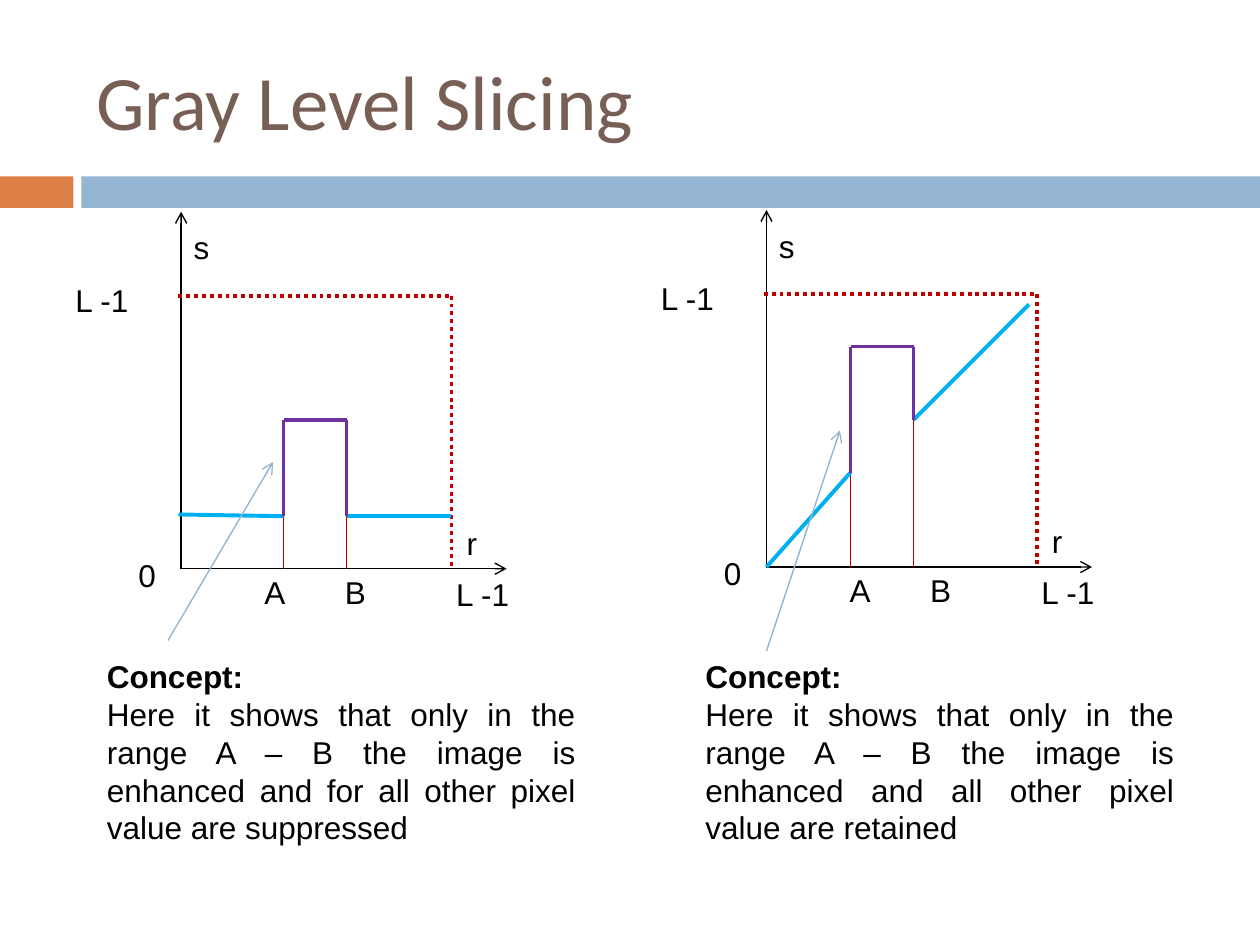
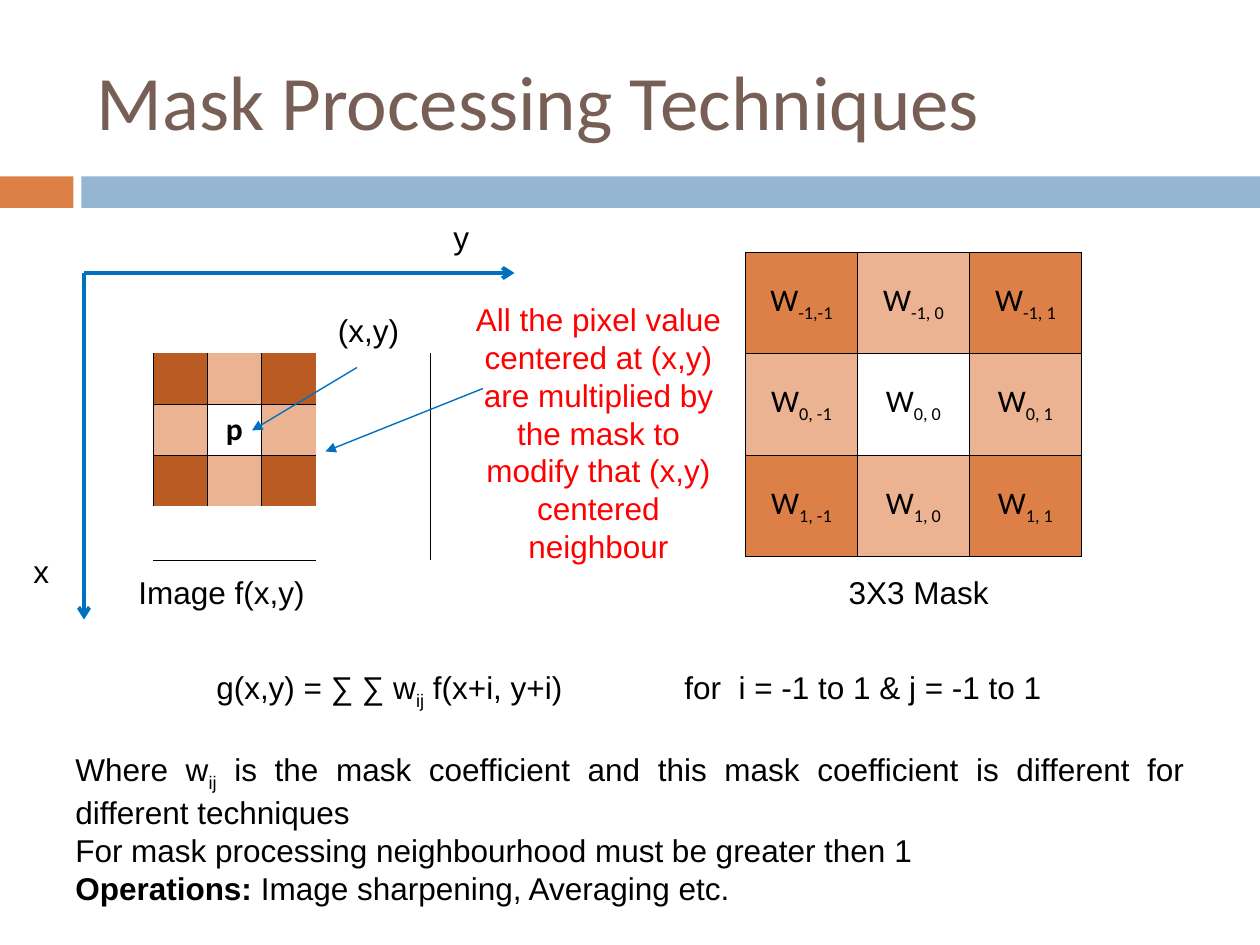
from pptx import Presentation
from pptx.dml.color import RGBColor
from pptx.enum.dml import MSO_LINE
from pptx.enum.shapes import MSO_CONNECTOR, MSO_SHAPE
from pptx.enum.text import MSO_ANCHOR, PP_ALIGN
from pptx.oxml.ns import qn
from pptx.util import Pt
from lxml.etree import SubElement

BLACK = RGBColor(0x00, 0x00, 0x00)
WHITE = RGBColor(0xFF, 0xFF, 0xFF)
BROWN = RGBColor(0x77, 0x5F, 0x55)
ORANGE = RGBColor(0xDD, 0x80, 0x47)
RUST = RGBColor(0xB9, 0x5B, 0x22)
PEACH = RGBColor(0xEB, 0xB3, 0x91)
STEEL = RGBColor(0x94, 0xB6, 0xD2)
DARK_RED = RGBColor(0xC0, 0x00, 0x00)
RED = RGBColor(0xFF, 0x00, 0x00)
CYAN = RGBColor(0x00, 0xB0, 0xF0)
PURPLE = RGBColor(0x70, 0x30, 0xA0)
BLUE = RGBColor(0x00, 0x70, 0xC0)

THIN, THICK = 0.79, 2.25


def write(tf, text, size=18, font="Arial", color=BLACK, bold=False,
          align=PP_ALIGN.LEFT, new=False):
    """Write one paragraph; text is a string or (text, style) runs, style 'sub' or 'bold'."""
    p = tf.add_paragraph() if new else tf.paragraphs[0]
    p.alignment = align
    for part, style in [(text, "")] if isinstance(text, str) else text:
        r = p.add_run()
        r.text = part
        r.font.size, r.font.name = Pt(size), font
        r.font.bold = bold or style == "bold"
        r.font.color.rgb = color
        if style == "sub":
            r._r.get_or_add_rPr().set("baseline", "-25000")


class Deck:
    """Holds the presentation, its style and the current slide."""

    def __init__(self):
        self.prs = Presentation()
        self.prs.slide_width, self.prs.slide_height = Pt(720), Pt(540)
        self.s = None

    def slide(self, title):
        """Start a slide with the two bands and its title."""
        self.s = self.prs.slides.add_slide(self.prs.slide_layouts[6])
        self.band(0, 42, ORANGE)
        self.band(46.5, 673.5, STEEL)
        self.text(48, 18, 642, 78, title, anchor=MSO_ANCHOR.MIDDLE,
                  size=44, font="Calibri", color=BROWN)

    def band(self, x, w, color):
        """Draw a part of the band under the title."""
        sp = self.s.shapes.add_shape(MSO_SHAPE.RECTANGLE, Pt(x), Pt(100.8), Pt(w), Pt(18))
        sp.shadow.inherit = False
        sp.fill.solid()
        sp.fill.fore_color.rgb = color
        sp.line.fill.background()

    def text(self, x, y, w, h, *paragraphs, anchor=MSO_ANCHOR.TOP, **fmt):
        """Add a wrapped text box with one or more paragraphs."""
        tf = self.s.shapes.add_textbox(Pt(x), Pt(y), Pt(w), Pt(h)).text_frame
        tf.word_wrap = True
        tf.vertical_anchor = anchor
        for i, paragraph in enumerate(paragraphs):
            write(tf, paragraph, new=i > 0, **fmt)

    def line(self, start, end, color=BLACK, width=THIN, dash=None, arrow=None):
        """Draw a straight line, with an arrowhead at its end if one is named."""
        c = self.s.shapes.add_connector(MSO_CONNECTOR.STRAIGHT, *map(Pt, start + end))
        c.line.color.rgb, c.line.width = color, Pt(width)
        if dash:
            c.line.dash_style = dash
        if arrow:
            SubElement(c.line._get_or_add_ln(), qn("a:tailEnd"), type=arrow)
        SubElement(c._element.spPr, qn("a:effectLst"))

    def table(self, x, y, cols, rows):
        """Add a plain table with the given column widths and row heights."""
        t = self.s.shapes.add_table(len(rows), len(cols), Pt(x), Pt(y),
                                    Pt(sum(cols)), Pt(sum(rows))).table
        t.first_row = t.horz_banding = False
        for col, w in zip(t.columns, cols):
            col.width = Pt(w)
        for row, h in zip(t.rows, rows):
            row.height = Pt(h)
        return t

    def cell(self, cell, fill=None, edges="LRTB"):
        """Set a cell's fill and draw only the named edges."""
        tcPr = cell._tc.get_or_add_tcPr()
        for edge in "LRTB":
            ln = SubElement(tcPr, qn("a:ln" + edge), w=str(Pt(0.45)))
            if edge in edges:
                SubElement(SubElement(ln, qn("a:solidFill")), qn("a:srgbClr"), val=str(BLACK))
            else:
                SubElement(ln, qn("a:noFill"))
        if fill is None:
            cell.fill.background()
        else:
            cell.fill.solid()
            cell.fill.fore_color.rgb = fill

    def graph(self, x0, y0, start, a, b, end, top):
        """Plot s against r, lifted to top between a and b; points are offsets from the origin."""
        def at(x, y):
            return x0 + x, y0 + y

        for tip in ((0, -204), (186, 0)):
            self.line(at(0, 0), at(*tip), arrow="arrow")
        for p, q in (((-1.5, -156), (154.5, -156)), ((154.5, -156), (154.5, 0))):
            self.line(at(*p), at(*q), DARK_RED, THICK, MSO_LINE.ROUND_DOT)
        for x, y in (a, b):
            self.line(at(x, y), at(x, 0), DARK_RED)
        for p, q in ((start, a), (b, end)):
            self.line(at(*p), at(*q), CYAN, THICK)
        corners = [a, (a[0], top), (b[0], top), b]
        for p, q in zip(corners, corners[1:]):
            self.line(at(*p), at(*q), PURPLE, THICK)
        for label, x, y, w in (("s", 0, -198, 24), ("L -1", 150, 0, 54), ("r", 156, -29, 24),
                               ("L -1", -67.5, -168, 54), ("0", -31.5, -11, 24),
                               ("A", 40.5, -1, 28), ("B", 86.5, -1, 28)):
            self.text(*at(x, y), w, 28.8, label)

    def concept(self, x, effect):
        """Add the explanation under a graph."""
        self.text(x, 372, 282, 115, [("Concept:", "bold")],
                  f"Here it shows that only in the range A – B the image is enhanced and {effect}",
                  align=PP_ALIGN.JUSTIFY)

    def image_grid(self, x, y):
        """Add the image area with the pixel neighbourhood of p inside it."""
        t = self.table(x, y, [39.5, 31, 31, 31, 65.5], [46, 29, 29, 29, 31])
        for r in range(5):
            for c in range(5):
                inside = 1 <= r <= 3 and 1 <= c <= 3
                shown = {"L": inside or c == 0, "R": inside or c == 4,
                         "T": inside and r > 1 or r == 0, "B": inside or r == 4}
                fill = (RUST if (r + c) % 2 == 0 else PEACH) if inside else None
                self.cell(t.cell(r, c), WHITE if r == c == 2 else fill,
                          [edge for edge in shown if shown[edge]])
        for first, last in (((0, 0), (0, 4)), ((1, 0), (4, 0)), ((1, 4), (4, 4)), ((4, 1), (4, 3))):
            t.cell(*first).merge(t.cell(*last))
        write(t.cell(2, 2).text_frame, "p", font="Calibri", bold=True, align=PP_ALIGN.CENTER)

    def mask_grid(self, x, y):
        """Add the mask of coefficients."""
        t = self.table(x, y, [64] * 3, [58] * 3)
        indices = (("-1,-1", "-1, 0", "-1, 1"), ("0, -1", "0, 0", "0, 1"), ("1, -1", "1, 0", "1, 1"))
        for r, row in enumerate(indices):
            for c, index in enumerate(row):
                cell = t.cell(r, c)
                fill = ORANGE if (r + c) % 2 == 0 else PEACH
                self.cell(cell, WHITE if r == c == 1 else fill)
                cell.vertical_anchor = MSO_ANCHOR.MIDDLE
                write(cell.text_frame, [("W", ""), (index, "sub")],
                      font="Calibri", align=PP_ALIGN.CENTER)


def slicing(d):
    """Build the slide on gray level slicing."""
    d.slide("Gray Level Slicing")
    d.graph(103.5, 325, (-1.5, -31), (58.5, -30), (94.5, -30), (154.5, -30), top=-85)
    d.line((96, 366), (156, 264), STEEL, arrow="arrow")
    d.graph(438, 324, (0, 0), (48, -54), (84, -84), (150, -150), top=-126)
    d.line((438, 372), (480, 246), STEEL, arrow="arrow")
    d.concept(54, "for all other pixel value are suppressed")
    d.concept(396, "all other pixel value are retained")


def masking(d):
    """Build the slide on mask processing."""
    d.slide("Mask Processing Techniques")
    d.image_grid(48, 156)
    for tip in ((294, 156), (48, 354)):
        d.line((48, 156), tip, BLUE, THICK, arrow="arrow")
    for start, end in (((276, 222), (186, 258)), ((204, 210), (144, 246))):
        d.line(start, end, BLUE, arrow="triangle")
    for label, x, y, w in (("x", 12, 312, 36), ("y", 252, 121, 36),
                           ("(x,y)", 186, 174, 60), ("Image f(x,y)", 72, 324, 126)):
        d.text(x, y, w, 28.8, label)
    d.mask_grid(426, 144)
    d.text(426, 324, 198, 28.8, "3X3 Mask", align=PP_ALIGN.CENTER)
    d.text(264, 168, 156, 158, "All the pixel value centered at (x,y) are multiplied by the mask "
           "to modify that (x,y) centered neighbour", color=RED, align=PP_ALIGN.CENTER)
    d.text(116.5, 378, 240, 28.8,
           [("g(x,y) = ∑ ∑ w", ""), ("ij", "sub"), (" f(x+i, y+i)", "")])
    d.text(384, 378, 240, 28.8, "for  i = -1 to 1 & j = -1 to 1")
    d.text(36, 425, 648, 96,
           [("Where w", ""), ("ij", "sub"), (" is the mask coefficient and this mask coefficient "
                                             "is different for different techniques", "")],
           "For mask processing neighbourhood must be greater then 1",
           [("Operations:", "bold"), (" Image sharpening, Averaging etc.", "")],
           align=PP_ALIGN.JUSTIFY)


def main():
    """Build both slides and save them."""
    d = Deck()
    slicing(d)
    masking(d)
    d.prs.save("out.pptx")


if __name__ == "__main__":
    main()
